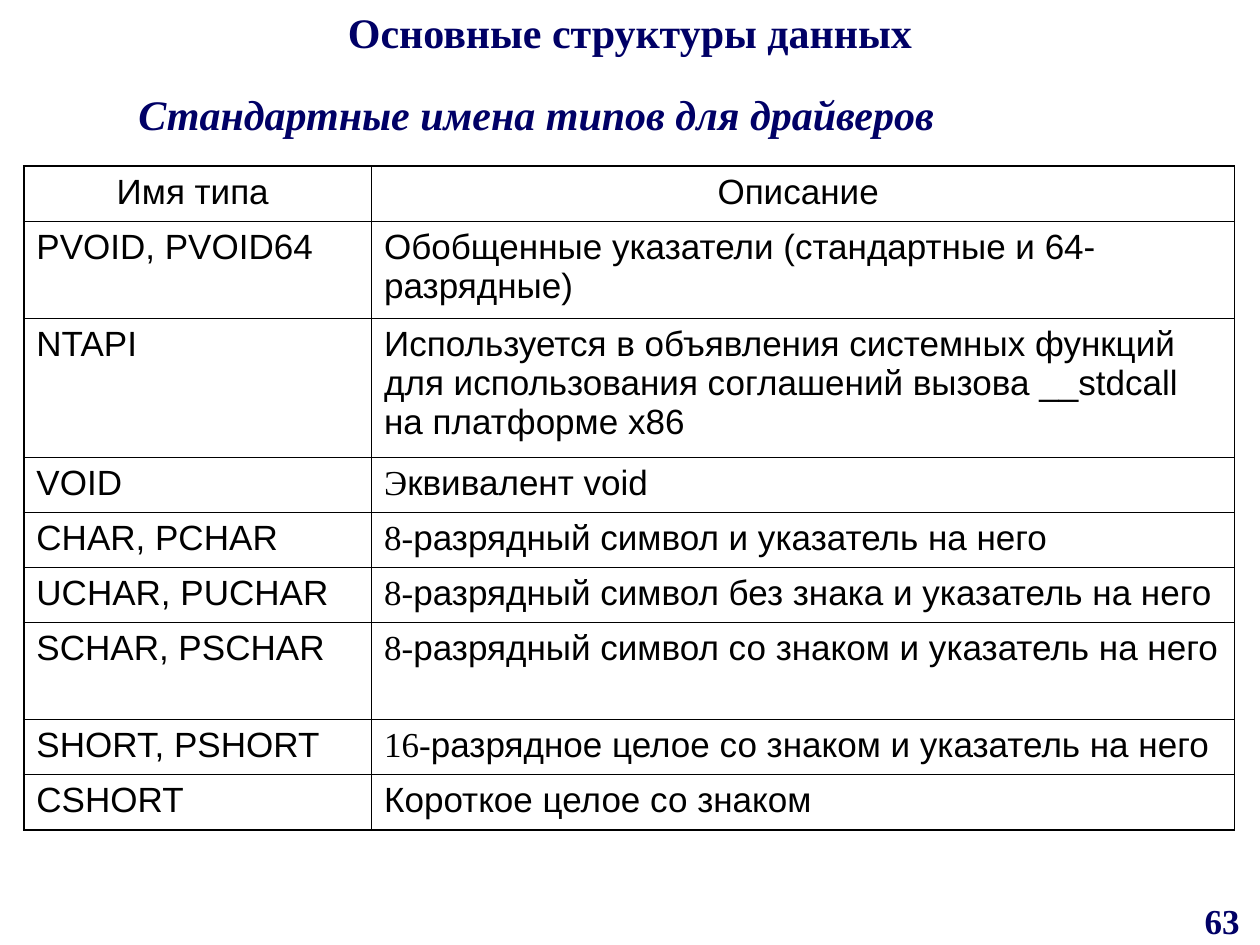
from dataclasses import dataclass

from lxml.etree import SubElement
from pptx import Presentation
from pptx.dml.color import RGBColor
from pptx.enum.text import MSO_ANCHOR as Anchor, MSO_AUTO_SIZE as Fit, PP_ALIGN as Align
from pptx.oxml.ns import qn
from pptx.util import Cm, Pt

NAVY = RGBColor(0x00, 0x00, 0x66)
BLACK = RGBColor(0x00, 0x00, 0x00)
SERIF, SANS = "Times New Roman", "Arial"
THIN, THICK = Pt(0.45), Pt(1.08)
LOW, MID, HIGH = 1.11, 1.96, 2.8
WIDTHS = (7.01, 17.4)


@dataclass
class Label:
    text: str
    box: tuple[float, float, float, float]
    size: int
    align: Align = Align.CENTER
    italic: bool = False
    wrap: bool = True


@dataclass
class Row:
    name: str
    about: str
    height: float = LOW
    lead: str = ""  # opening characters set in serif
    align: Align = Align.LEFT


TITLE = Label("Основные структуры данных", (0, 0, 25.4, 1.6), 24)
LABELS = [
    Label("Стандартные имена типов для драйверов", (2.54, 1.65, 16.56, 1.27), 24,
          Align.LEFT, italic=True, wrap=False),
    Label("63", (23.88, 18.01, 1.52, 1.04), 20),
]
ROWS = [
    Row("Имя типа ", "Описание ", align=Align.CENTER),
    Row("PVOID, PVOID64", "Обобщенные указатели (стандартные и 64-разрядные)", MID),
    Row("NTAPI", "Используется в объявления системных функций для использования "
        "соглашений вызова __stdcall на платформе х86", HIGH),
    Row("VOID", "квивалент void", lead="Э"),
    Row("CHAR, PCHAR", "разрядный символ и указатель на него", lead="8-"),
    Row("UCHAR, PUCHAR", "разрядный символ без знака и указатель на него", lead="8-"),
    Row("SCHAR, PSCHAR", "разрядный символ со знаком и указатель на него", MID, "8-"),
    Row("SHORT, PSHORT", "разрядное целое со знаком и указатель на него", lead="16-"),
    Row("CSHORT", "Короткое целое со знаком"),
]


def style(font, name: str, size: int, color: RGBColor) -> None:
    font.name, font.size = name, Pt(size)
    font.color.rgb = color


def fill_label(shape, label: Label) -> None:
    shape.left, shape.top, shape.width, shape.height = map(Cm, label.box)
    frame = shape.text_frame
    frame.text = label.text
    frame.auto_size = Fit.NONE if label.wrap else Fit.SHAPE_TO_FIT_TEXT
    frame.word_wrap = label.wrap
    frame.vertical_anchor = Anchor.TOP
    para = frame.paragraphs[0]
    para.alignment = label.align
    font = para.runs[0].font
    style(font, SERIF, label.size, NAVY)
    font.bold, font.italic = True, label.italic


def add_edge(cell, side: str, width: Pt) -> None:
    line = SubElement(cell._tc.get_or_add_tcPr(), qn(f"a:ln{side}"), w=str(int(width)))
    fill = SubElement(line, qn("a:solidFill"))
    SubElement(fill, qn("a:srgbClr"), val=str(BLACK))


def fill_cell(cell, parts: list[tuple[str, str]], align: Align) -> None:
    para = cell.text_frame.paragraphs[0]
    para.alignment = align
    for text, face in parts:
        run = para.add_run()
        run.text = text
        style(run.font, face, 20, BLACK)


def add_grid(slide, rows: list[Row]) -> None:
    frame = slide.shapes.add_table(
        len(rows), len(WIDTHS), Cm(0.48), Cm(3.35),
        Cm(sum(WIDTHS)), Cm(sum(row.height for row in rows)))
    table = frame.table
    table.first_row = table.horz_banding = False
    for col, width in zip(table.columns, WIDTHS):
        col.width = Cm(width)
    for r, row in enumerate(rows):
        table.rows[r].height = Cm(row.height)
        about = [(row.lead, SERIF)] if row.lead else []
        about.append((row.about, SANS))
        for c, parts in enumerate([[(row.name, SANS)], about]):
            cell = table.cell(r, c)
            fill_cell(cell, parts, row.align)
            # Outer edges are thick, inner ones thin
            outer = {"L": c == 0, "R": c == len(WIDTHS) - 1,
                     "T": r == 0, "B": r == len(rows) - 1}
            for side, thick in outer.items():
                add_edge(cell, side, THICK if thick else THIN)
            cell.fill.background()


def main() -> None:
    deck = Presentation()
    deck.slide_width, deck.slide_height = Cm(25.4), Cm(19.05)
    slide = deck.slides.add_slide(deck.slide_layouts[5])

    # Title, subtitle and page number
    fill_label(slide.shapes.title, TITLE)
    for label in LABELS:
        fill_label(slide.shapes.add_textbox(0, 0, 0, 0), label)

    # Table of type names
    add_grid(slide, ROWS)
    deck.save("out.pptx")


if __name__ == "__main__":
    main()
